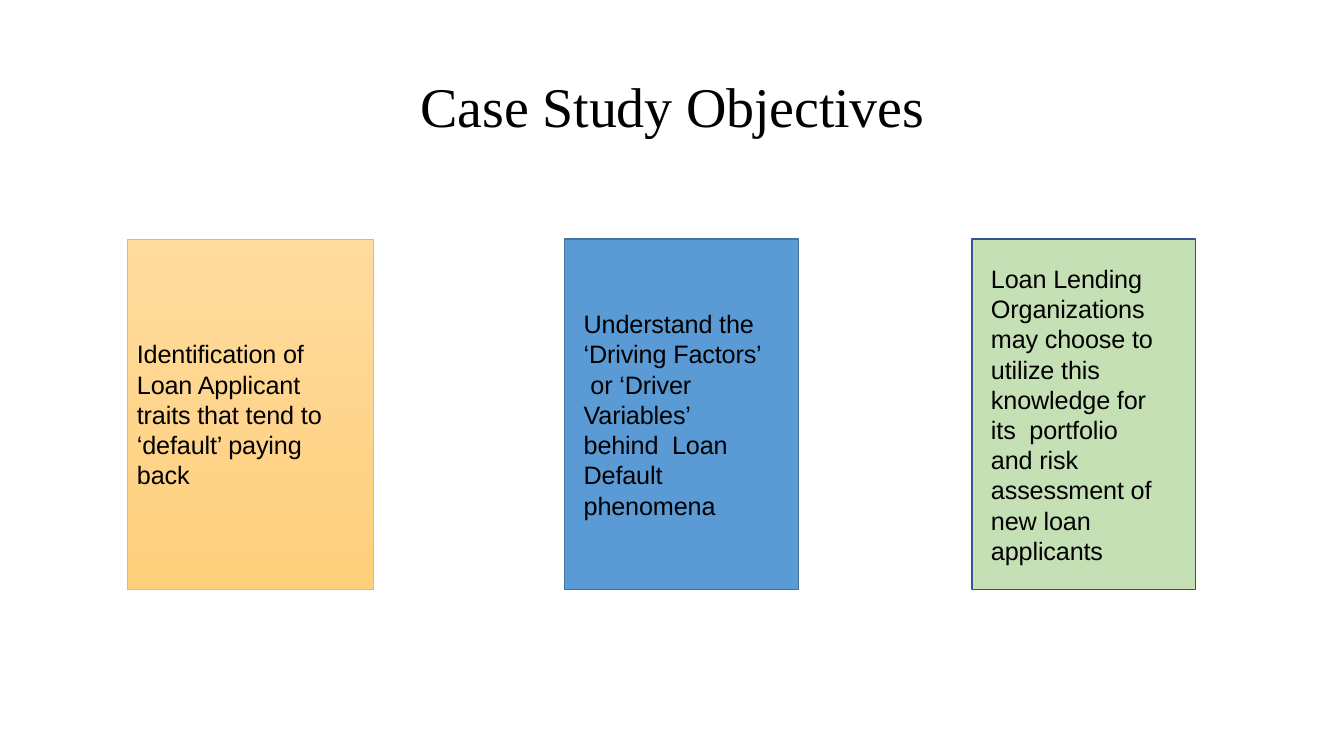
from pptx import Presentation
from pptx.dml.color import RGBColor as RGB
from pptx.enum.shapes import MSO_SHAPE as Shape
from pptx.enum.text import MSO_ANCHOR as Anchor, PP_ALIGN as Align, MSO_AUTO_SIZE as AutoSize
from pptx.util import Inches, Pt

COLORS = {
    "text": "000000",
    "amber_top": "FFDB9E", "amber_bottom": "FFD07C", "amber_line": "FFC000",
    "blue": "5B9BD5", "blue_line": "43739E",
    "green": "C5E0B4", "green_line": "325491",
}
TITLE = "Case Study Objectives"
OBJECTIVES = [
    {"text": "Identification of Loan Applicant traits that tend to ‘default’ paying back",
     "left": 1.26, "width": 2.44, "indent": 0, "right_inset": 0.3,
     "fill": ("amber_top", "amber_bottom"), "line": "amber_line", "weight": 0.5},
    {"text": "Understand the ‘Driving Factors’ \u00a0or ‘Driver Variables’ behind  Loan Default phenomena",
     "left": 5.6, "width": 2.32, "indent": 0.09, "right_inset": 0.31,
     "fill": ("blue",), "line": "blue_line", "weight": 1},
    {"text": "Loan Lending Organizations may choose to utilize this knowledge for its  portfolio "
             "and risk assessment of new loan applicants",
     "left": 9.64, "width": 2.22, "indent": 0.09, "right_inset": 0.36,
     "fill": ("green",), "line": "green_line", "weight": 1},
]
BOX_TOP, BOX_HEIGHT = 2.37, 3.48


def color(name):
    return RGB.from_string(COLORS[name])


def write(para, text, font, size, align):
    para.alignment = align
    span = para.add_run()
    span.text = text
    span.font.name = font
    span.font.size = Pt(size)
    span.font.color.rgb = color("text")
    span.font._element.set("spc", "-10")


def paint(fill, names):
    if len(names) == 1:
        fill.solid()
        fill.fore_color.rgb = color(names[0])
        return
    fill.gradient()
    fill.gradient_angle = 270
    for position, (stop, name) in enumerate(zip(fill.gradient_stops, names)):
        stop.position = position
        stop.color.rgb = color(name)


def add_objective(page, item):
    box = page.shapes.add_shape(Shape.RECTANGLE, Inches(item["left"]), Inches(BOX_TOP),
                                Inches(item["width"]), Inches(BOX_HEIGHT))
    box.shadow.inherit = False
    paint(box.fill, item["fill"])
    box.line.color.rgb = color(item["line"])
    box.line.width = Pt(item["weight"])
    frame = box.text_frame
    frame.word_wrap = True
    frame.vertical_anchor = Anchor.MIDDLE
    frame.margin_right = Inches(item["right_inset"])
    para = frame.paragraphs[0]
    write(para, item["text"], "Arial", 18, Align.LEFT)
    para._p.get_or_add_pPr().set("marL", str(Inches(item["indent"])))


deck = Presentation()
deck.slide_width, deck.slide_height = Inches(13.33), Inches(7.5)
page = deck.slides.add_slide(deck.slide_layouts[5])

title = page.shapes.title
title.left, title.top = Inches(3.79), Inches(0.66)
title.width, title.height = Inches(5.76), Inches(0.77)
title.text_frame.auto_size = AutoSize.NONE
write(title.text_frame.paragraphs[0], TITLE, "Times New Roman", 40, Align.CENTER)

for item in OBJECTIVES:
    add_objective(page, item)

deck.save("out.pptx")
